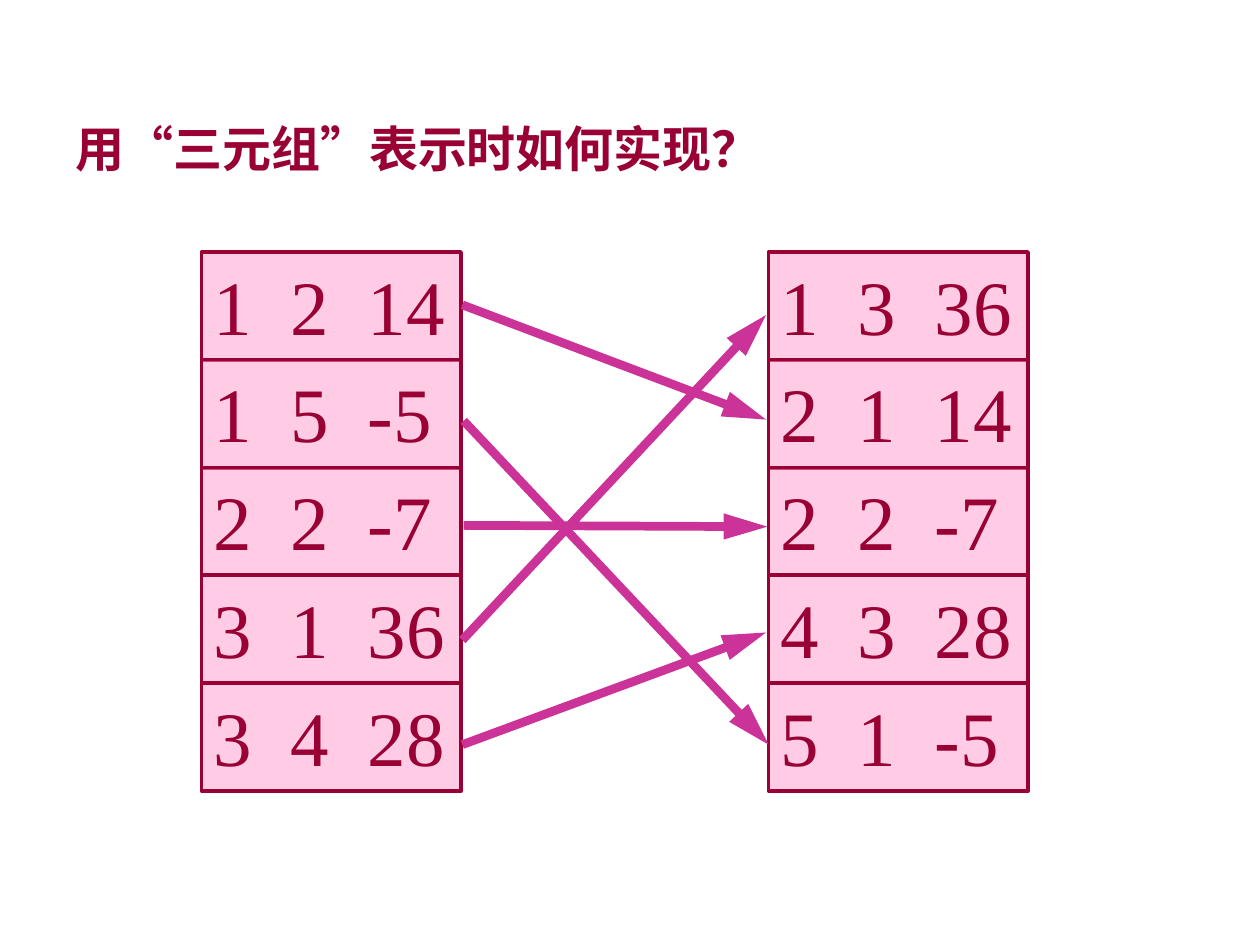
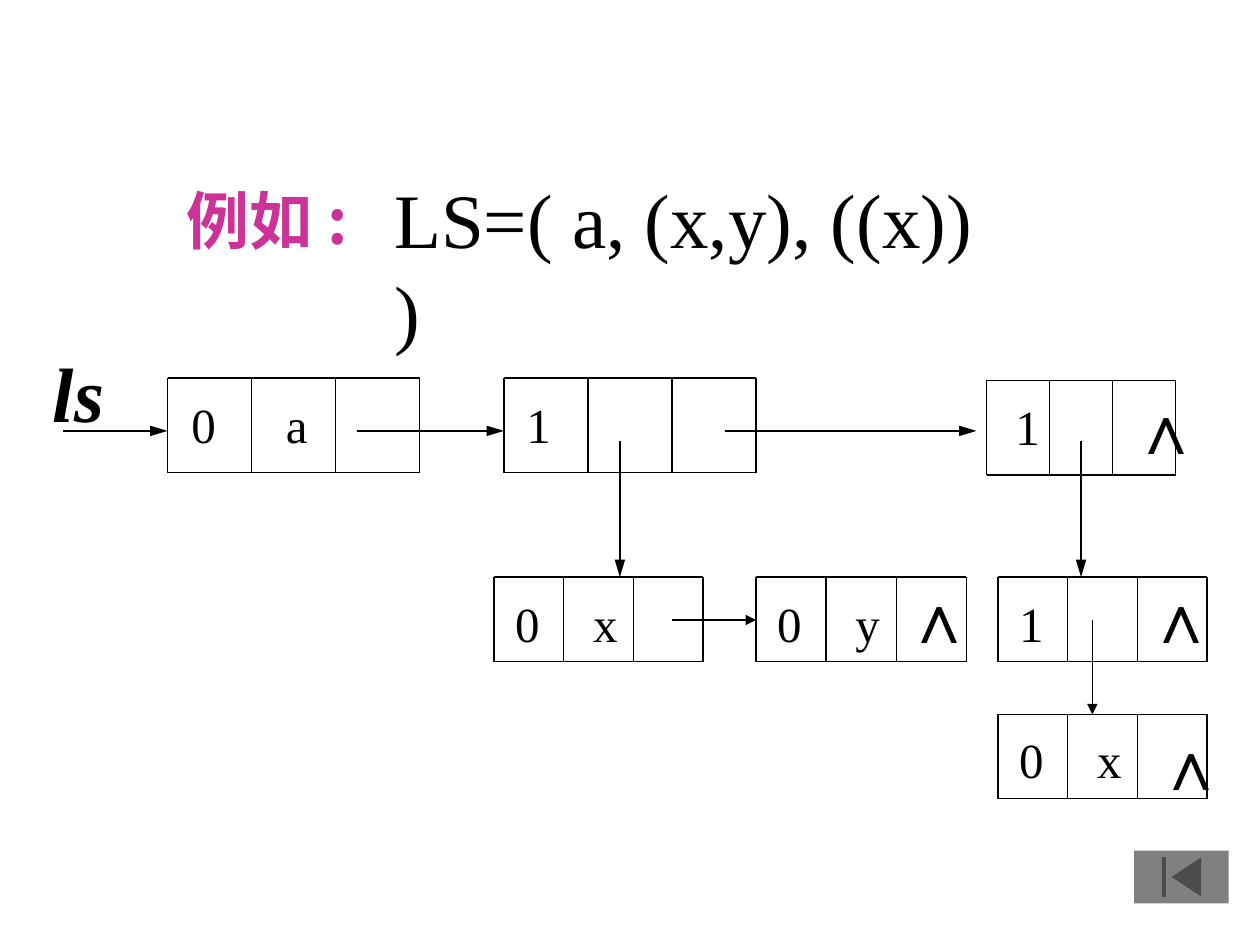
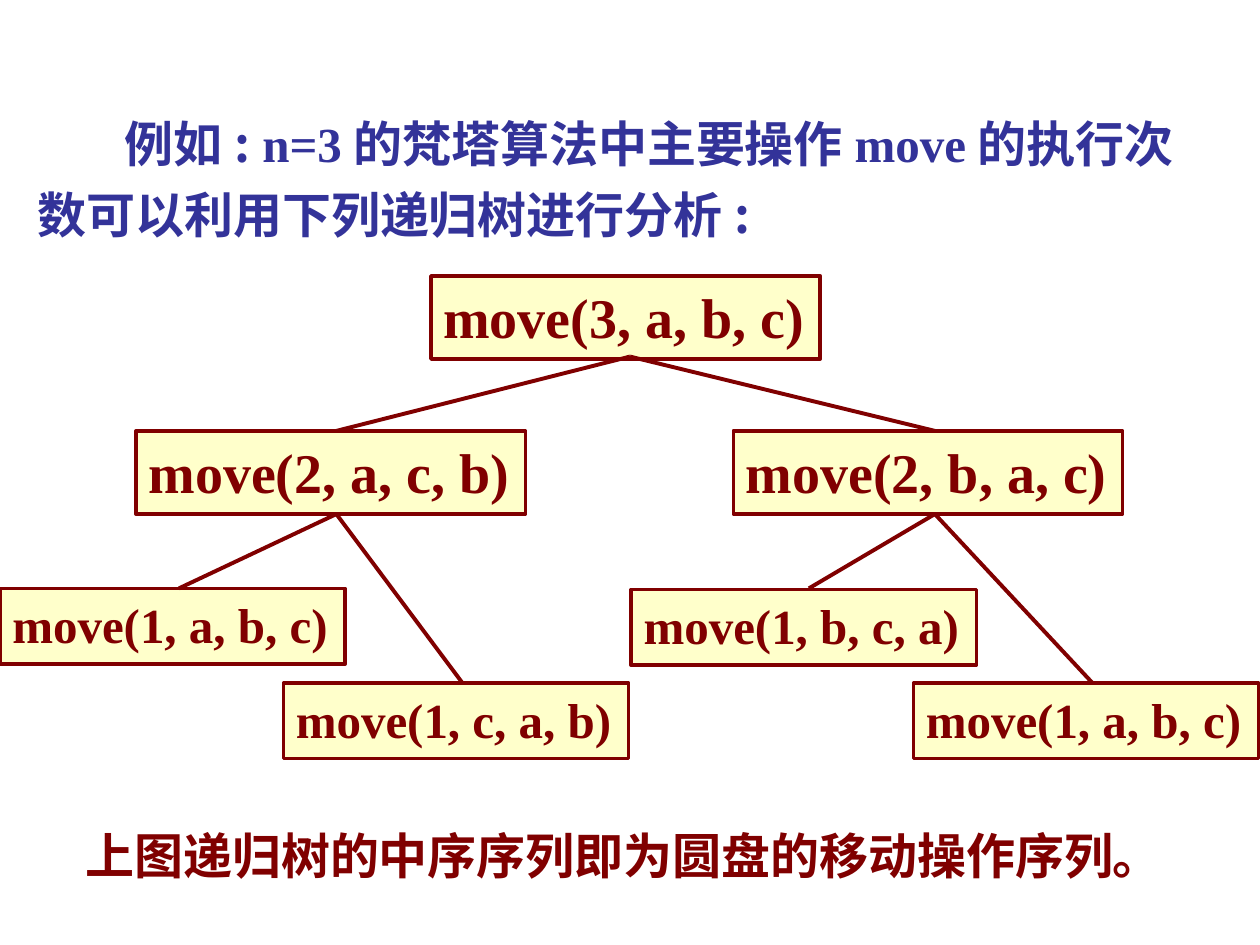
"""Builds three slides on triples, generalized lists and a recursion tree."""
import pptx
import pptx.dml.color
import pptx.enum.shapes
import pptx.enum.text
import pptx.oxml
import pptx.oxml.ns
import pptx.util
import lxml.etree

Inches = pptx.util.Inches
RGBColor = pptx.dml.color.RGBColor
MSO_SHAPE = pptx.enum.shapes.MSO_SHAPE

SANS = "Noto Sans CJK SC"
SERIF = "Times New Roman"
CRIMSON = RGBColor(0x99, 0x00, 0x33)
PINK = RGBColor(0xFF, 0x99, 0xCC)
MAGENTA = RGBColor(0xCC, 0x33, 0x99)
MAROON = RGBColor(0x80, 0x00, 0x00)
YELLOW = RGBColor(0xFF, 0xFF, 0x99)
INDIGO = RGBColor(0x33, 0x33, 0x99)
GRAY = RGBColor(0x80, 0x80, 0x80)
BLACK = RGBColor(0x00, 0x00, 0x00)


def write_text(box, pieces, size, color, bold=False, italic=False, outline=None):
    """Fill a box with (text, font) pieces; an outline is a (fill, line) pair."""
    frame = box.text_frame
    frame.word_wrap = True
    frame.auto_size = pptx.enum.text.MSO_AUTO_SIZE.NONE
    frame.vertical_anchor = pptx.enum.text.MSO_ANCHOR.TOP
    paragraph = frame.paragraphs[0]
    paragraph.alignment = pptx.enum.text.PP_ALIGN.LEFT
    for text, font in pieces:
        span = paragraph.add_run()
        span.text = text
        span.font.size = pptx.util.Pt(size)
        span.font.bold = bold
        span.font.italic = italic
        span.font.color.rgb = color
        span.font.name = font
        east_asian = lxml.etree.SubElement(span.font._element, pptx.oxml.ns.qn("a:ea"))
        east_asian.set("typeface", font)
    if outline:
        box.shadow.inherit = False
        box.fill.solid()
        box.fill.fore_color.rgb, box.line.color.rgb = outline
        box.line.width = pptx.util.Pt(2)
        tint = box.fill._xPr.find(".//" + pptx.oxml.ns.qn("a:srgbClr"))
        lxml.etree.SubElement(tint, pptx.oxml.ns.qn("a:alpha")).set("val", "50000")
    return paragraph


def draw_line(page, start, end, color, width, arrow=None):
    """Draw a straight line; arrow is the length of its head, if any."""
    line = page.shapes.add_connector(
        pptx.enum.shapes.MSO_CONNECTOR.STRAIGHT,
        Inches(start[0]), Inches(start[1]), Inches(end[0]), Inches(end[1]))
    line.line.color.rgb = color
    line.line.width = pptx.util.Pt(width)
    if arrow:
        head = lxml.etree.SubElement(line.line._get_or_add_ln(), pptx.oxml.ns.qn("a:tailEnd"))
        for key, value in (("type", "triangle"), ("w", "med"), ("len", arrow)):
            head.set(key, value)
    lxml.etree.SubElement(line._element.spPr, pptx.oxml.ns.qn("a:effectLst"))


deck = pptx.Presentation()
deck.slide_width = Inches(10)
deck.slide_height = Inches(7.5)
title_only, blank = deck.slide_layouts[5], deck.slide_layouts[6]

page = deck.slides.add_slide(title_only)
title = page.shapes.title
title.left, title.top = Inches(0.5), Inches(0.89)
title.width, title.height = Inches(6.07), Inches(0.57)
write_text(title, [("用“三元组”表示时如何实现？", SANS)], 28, CRIMSON, bold=True)

triple_tables = [
    (1.6, ["1\t2\t14", "1\t5\t-5", "2\t2\t-7", "3\t1\t36", "3\t4\t28"]),
    (6.1, ["1\t3\t36", "2\t1\t14", "2\t2\t-7", "4\t3\t28", "5\t1\t-5"]),
]
for left, triples in triple_tables:
    for row, triple in enumerate(triples):
        cell = page.shapes.add_shape(
            MSO_SHAPE.RECTANGLE, Inches(left), Inches(2 + row * 0.855),
            Inches(2.06), Inches(0.86))
        cell.text_frame.margin_right = 0
        properties = cell.text_frame.paragraphs[0]._p.get_or_add_pPr()
        tabs = lxml.etree.SubElement(properties, pptx.oxml.ns.qn("a:tabLst"))
        for position in (0.61, 1.22):
            tab = lxml.etree.SubElement(tabs, pptx.oxml.ns.qn("a:tab"))
            tab.set("pos", str(Inches(position)))
            tab.set("algn", "l")
        write_text(cell, [(triple, SERIF)], 44, CRIMSON, outline=(PINK, CRIMSON))

transposed_rows = [
    ((3.67, 5.08), (6.08, 2.5)),
    ((3.67, 2.42), (6.08, 3.33)),
    ((3.68, 4.17), (6.09, 4.18)),
    ((3.67, 5.91), (6.08, 5.02)),
    ((3.68, 3.34), (6.1, 5.91)),
]
for start, end in transposed_rows:
    draw_line(page, start, end, MAGENTA, 5, "lg")

page = deck.slides.add_slide(blank)
list_nodes = [
    (1.33, 3, 2, 0.75),
    (4, 3, 2, 0.75),
    (7.83, 3.02, 1.5, 0.75),
    (3.92, 4.58, 1.66, 0.67),
    (6, 4.58, 1.67, 0.67),
    (7.92, 4.58, 1.66, 0.67),
    (7.92, 5.67, 1.66, 0.67),
]
for left, top, width, height in list_nodes:
    for edge in range(4):
        x = left + width * edge / 3
        draw_line(page, (x, top), (x, top + height), BLACK, 0.75)
    for y in (top, top + height):
        draw_line(page, (left, y), (left + width, y), BLACK, 0.75)

pointers = [
    ((0.5, 3.42), (1.33, 3.42), 1.5, "lg"),
    ((2.83, 3.42), (4, 3.42), 1.5, "lg"),
    ((5.75, 3.42), (7.75, 3.42), 1.5, "lg"),
    ((4.92, 3.5), (4.92, 4.58), 1.5, "lg"),
    ((8.58, 3.5), (8.58, 4.58), 1.5, "lg"),
    ((5.33, 4.92), (6, 4.92), 0.75, "med"),
    ((8.67, 4.92), (8.67, 5.67), 0.75, "med"),
]
for start, end, width, arrow in pointers:
    draw_line(page, start, end, BLACK, width, arrow)

node_labels = [
    ("0", 1.42, 3.08), ("a", 2.17, 3.08), ("1", 4.08, 3.08), ("1", 7.96, 3.1),
    ("0", 3.99, 4.66), ("x", 4.61, 4.66), ("0", 6.07, 4.66), ("y", 6.69, 4.66),
    ("1", 7.99, 4.66), ("0", 7.99, 5.74), ("x", 8.61, 5.74),
]
for label, left, top in node_labels:
    box = page.shapes.add_textbox(Inches(left), Inches(top), Inches(0.58), Inches(0.57))
    write_text(box, [(label, SERIF)], 28, BLACK)
for left, top in ((8.88, 3), (7.08, 4.5), (9, 4.5), (9.08, 5.67)):
    box = page.shapes.add_textbox(Inches(left), Inches(top), Inches(0.54), Inches(0.77))
    write_text(box, [("∧", SERIF)], 40, BLACK)

box = page.shapes.add_textbox(Inches(1.38), Inches(1.39), Inches(1.6), Inches(0.71))
write_text(box, [("例如:", SANS)], 36, MAGENTA, bold=True)
box = page.shapes.add_textbox(Inches(3.03), Inches(1.31), Inches(4.8), Inches(0.83))
write_text(box, [("LS=( a, (x,y), ((x)) )", SERIF)], 44, BLACK)
box = page.shapes.add_textbox(Inches(0.32), Inches(2.69), Inches(0.65), Inches(0.83))
write_text(box, [("ls", SERIF)], 44, BLACK, bold=True, italic=True)

button = page.shapes.add_shape(
    MSO_SHAPE.ACTION_BUTTON_BEGINNING, Inches(9), Inches(6.75), Inches(0.75), Inches(0.42))
button.shadow.inherit = False
button.fill.solid()
button.fill.fore_color.rgb = GRAY
button.line.fill.background()

page = deck.slides.add_slide(blank)
box = page.shapes.add_textbox(Inches(0.2), Inches(0.76), Inches(9.56), Inches(1.23))
introduction = [
    ("例如:", SANS),
    (" n=3", SERIF),
    ("的梵塔算法中主要操作", SANS),
    ("move", SERIF),
    ("的执行次数可以利用下列递归树进行分析:", SANS),
]
paragraph = write_text(box, introduction, 28, INDIGO, bold=True)
paragraph.line_spacing = 1.2
paragraph._p.get_or_add_pPr().set("indent", str(Inches(0.69)))

calls = [
    ("move(3, a, b, c)", 3.42, 2.19, 3.09, 0.66, 32),
    ("move(2, a, c, b)", 1.08, 3.42, 3.09, 0.66, 32),
    ("move(2, b, a, c)", 5.82, 3.42, 3.09, 0.66, 32),
    ("move(1, a, b, c)", 0, 4.67, 2.74, 0.6, 28),
    ("move(1, c, a, b)", 2.25, 5.42, 2.74, 0.6, 28),
    ("move(1, b, c, a)", 5.01, 4.68, 2.74, 0.6, 28),
    ("move(1, a, b, c)", 7.25, 5.42, 2.74, 0.6, 28),
]
for call, left, top, width, height, size in calls:
    box = page.shapes.add_shape(
        MSO_SHAPE.RECTANGLE, Inches(left), Inches(top), Inches(width), Inches(height))
    write_text(box, [(call, SERIF)], size, MAROON, bold=True, outline=(YELLOW, MAROON))

branches = [
    ((5, 2.83), [(2.67, 3.42), (7.42, 3.42)]),
    ((2.67, 4.08), [(1.42, 4.67), (3.67, 5.42)]),
    ((7.42, 4.08), [(6.42, 4.67), (8.67, 5.42)]),
]
for parent, children in branches:
    for child in children:
        draw_line(page, parent, child, MAROON, 2.25)

box = page.shapes.add_textbox(Inches(0.58), Inches(6.5), Inches(9.3), Inches(0.57))
write_text(box, [("上图递归树的中序序列即为圆盘的移动操作序列。", SANS)], 28, MAROON, bold=True)

deck.save("out.pptx")
